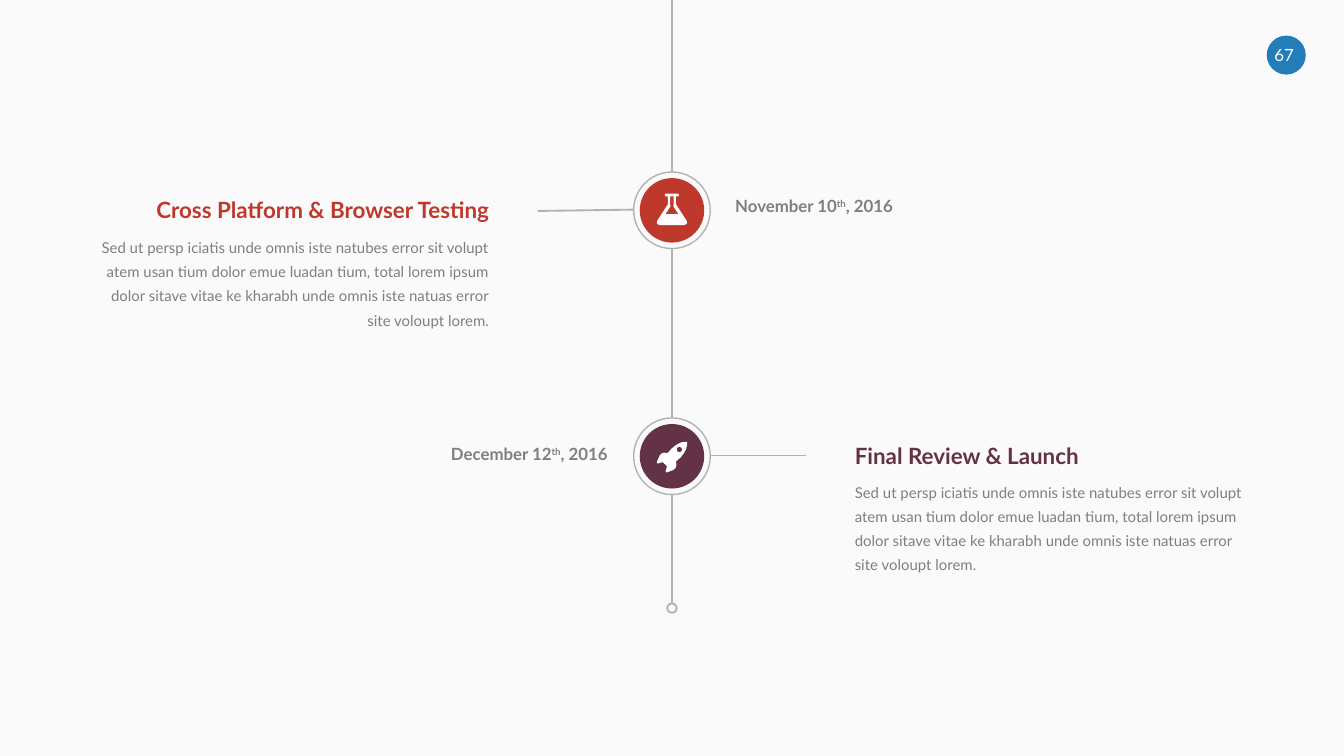
from math import cos, pi, sin

from lxml import etree
from pptx import Presentation
from pptx.dml.color import RGBColor
from pptx.enum.shapes import MSO_CONNECTOR, MSO_SHAPE
from pptx.enum.text import PP_ALIGN
from pptx.oxml.ns import qn
from pptx.util import Inches, Pt

LEFT, CENTER, RIGHT = PP_ALIGN.LEFT, PP_ALIGN.CENTER, PP_ALIGN.RIGHT
ELLIPSE, STRAIGHT = MSO_SHAPE.OVAL, MSO_CONNECTOR.STRAIGHT
FONT = "Lato"
BACKGROUND, GRAY, LINE, WHITE, BLUE = "FAFAFA", "7F7F7F", "B2B2B2", "FFFFFF", "237DB9"

# Icon outlines, in thousandths of an inch from the milestone centre
FLASK = [
    [(-45, -125), (45, -125), (52, -118), (52, -108), (45, -103), (30, -103),
     (30, -45), (108, 75), (113, 90), (108, 102), (90, 110), (-90, 110),
     (-108, 102), (-113, 90), (-108, 75), (-30, -45), (-30, -103),
     (-45, -103), (-52, -108), (-52, -118)],
    [(-13, -103), (13, -103), (13, -42), (10, -32), (48, 28), (-48, 28),
     (-10, -32), (-13, -42)],
]
ROCKET = [
    [(112, -108), (112, -85), (105, -55), (90, -25), (65, 8), (30, 38),
     (33, 65), (28, 85), (10, 102), (-38, 120), (-46, 118), (-47, 107),
     (-40, 85), (-38, 72), (-70, 43), (-80, 47), (-104, 54), (-112, 50),
     (-112, 40), (-90, -8), (-75, -22), (-60, -27), (-32, -24), (-5, -55),
     (30, -84), (70, -104)],
    [(55 + round(20 * cos(i * pi / 8)), -50 + round(20 * sin(i * pi / 8)))
     for i in range(16)],
]

BODY = ("Sed ut persp iciatis unde omnis iste natubes error sit volupt atem usan "
        "tium dolor emue luadan tium, total lorem ipsum dolor sitave vitae ke "
        "kharabh unde omnis iste natuas error site voloupt lorem.")
MILESTONES = [
    {"top": 1.28, "color": "BE392B", "icon": FLASK, "branch": (4.71, 1.56, 4, 1.57),
     "title": "Cross Platform & Browser Testing", "text_left": 0.75,
     "text_tops": (1.46, 1.73), "text_align": RIGHT,
     "date": ("November 10", "th", ", 2016"), "date_at": (5.47, 1.46),
     "date_align": LEFT},
    {"top": 3.11, "color": "643246", "icon": ROCKET, "branch": (6, 3.39, 5.29, 3.39),
     "title": "Final Review & Launch", "text_left": 6.36,
     "text_tops": (3.29, 3.55), "text_align": LEFT,
     "date": ("December 12", "th", ", 2016"), "date_at": (2.9, 3.3),
     "date_align": RIGHT},
]
AXIS, RING, DISC, END_DOT, END_TOP = 5, 0.57, 0.48, 0.07, 4.49
SLIDE_WIDTH = Inches(10)
SLIDE_HEIGHT = SLIDE_WIDTH * 9 // 16


def rgb(color):
    return RGBColor.from_string(color)


def paint(shape, fill=None, line=None, width=1):
    shape.shadow.inherit = False
    if fill:
        shape.fill.solid()
        shape.fill.fore_color.rgb = rgb(fill)
    else:
        shape.fill.background()
    if line:
        shape.line.color.rgb = rgb(line)
        shape.line.width = Pt(width)
    else:
        shape.line.fill.background()


def add_circle(center_x, center_y, diameter, **style):
    circle = slide.shapes.add_shape(
        ELLIPSE, Inches(center_x - diameter / 2), Inches(center_y - diameter / 2),
        Inches(diameter), Inches(diameter))
    paint(circle, **style)


def add_line(*ends):
    connector = slide.shapes.add_connector(STRAIGHT, *map(Inches, ends))
    connector.line.color.rgb = rgb(LINE)
    connector.line.width = Pt(1)
    etree.SubElement(connector._element.spPr, qn("a:effectLst"))


def add_text(box, runs, size, color, align=LEFT, bold=False, spacing=None):
    text_frame = slide.shapes.add_textbox(*map(Inches, box)).text_frame
    text_frame.word_wrap = True
    text_frame.margin_left = text_frame.margin_right = 0
    text_frame.margin_top = text_frame.margin_bottom = 0
    paragraph = text_frame.paragraphs[0]
    paragraph.alignment = align
    if spacing:
        paragraph.line_spacing = spacing
    for text in runs:
        run = paragraph.add_run()
        run.text = text
        run.font.name, run.font.size, run.font.bold = FONT, Pt(size), bold
        run.font.color.rgb = rgb(color)
    return paragraph


def add_icon(contours, center_x, center_y):
    builder = slide.shapes.build_freeform(*contours[0][0], scale=Inches(1) / 1000)
    builder.add_line_segments(contours[0][1:])
    for contour in contours[1:]:
        builder.move_to(*contour[0])
        builder.add_line_segments(contour[1:])
    paint(builder.convert_to_shape(Inches(center_x), Inches(center_y)), fill=WHITE)


presentation = Presentation()
presentation.slide_width, presentation.slide_height = SLIDE_WIDTH, SLIDE_HEIGHT
slide = presentation.slides.add_slide(presentation.slide_layouts[6])
slide.background.fill.solid()
slide.background.fill.fore_color.rgb = rgb(BACKGROUND)

# Page number
add_circle(9.57, 0.41, 0.29, fill=BLUE)
add_text((9.43, 0.33, 0.25, 0.15), ["67"], 9, WHITE, CENTER)

# Axis segments between the rings, then the end dot
axis_top = 0
for ring_top in [milestone["top"] for milestone in MILESTONES] + [END_TOP]:
    add_line(AXIS, axis_top, AXIS, ring_top)
    axis_top = ring_top + RING
add_circle(AXIS, END_TOP + END_DOT / 2, END_DOT, line=LINE)

# Milestones: branch, ring, disc, icon, date, title and body
for milestone in MILESTONES:
    center_y = milestone["top"] + RING / 2
    add_line(*milestone["branch"])
    add_circle(AXIS, center_y, RING, line=LINE, width=0.75)
    add_circle(AXIS, center_y, DISC, fill=milestone["color"])
    add_icon(milestone["icon"], AXIS, center_y)

    date = add_text((*milestone["date_at"], 1.62, 0.15), milestone["date"], 9, GRAY,
                    milestone["date_align"], bold=True)
    date.runs[1]._r.get_or_add_rPr().set("baseline", "30000")

    left, align = milestone["text_left"], milestone["text_align"]
    title_top, body_top = milestone["text_tops"]
    add_text((left, title_top, 2.89, 0.2), [milestone["title"]], 12,
             milestone["color"], align, bold=True)
    add_text((left, body_top, 2.89, 0.71), [BODY], 8, GRAY, align, spacing=1.35)

presentation.save("out.pptx")
